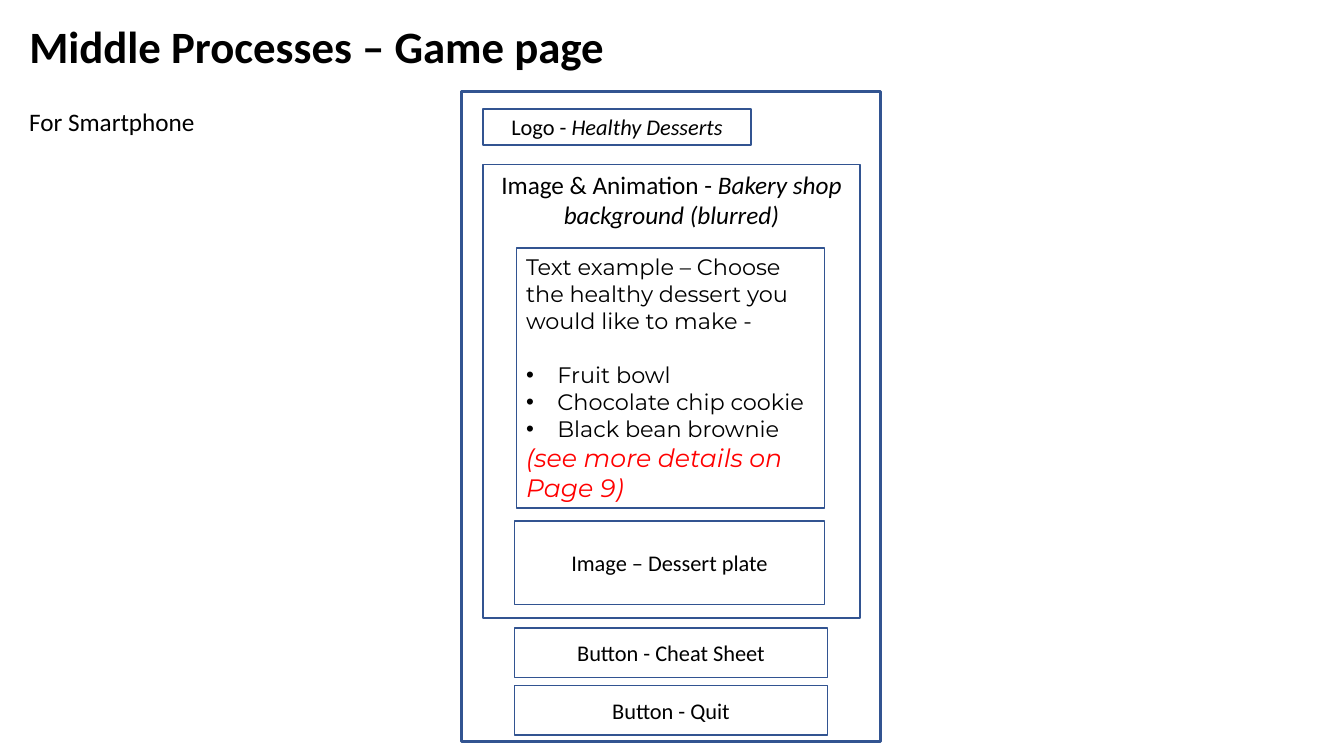
from pptx import Presentation
from pptx.dml.color import RGBColor
from pptx.enum.shapes import MSO_SHAPE
from pptx.enum.text import MSO_ANCHOR, MSO_AUTO_SIZE, PP_ALIGN
from pptx.oxml.ns import qn
from pptx.util import Inches, Pt
from lxml.etree import SubElement

BLACK = RGBColor(0x00, 0x00, 0x00)
RED = RGBColor(0xFF, 0x00, 0x00)
BLUE = RGBColor(0x32, 0x54, 0x91)

TITLE = "Middle Processes – Game page"
DEVICE = "For Smartphone"
PHONE = (4.58, 0.91, 4.15, 6.45)

# Place, size, anchor, upright label, italic label
FRAMES = [
    ((4.79, 1.08, 2.66, 0.36), 16, MSO_ANCHOR.MIDDLE, "Logo - ", "Healthy Desserts"),
    ((4.79, 1.63, 3.74, 4.5), 18, MSO_ANCHOR.TOP,
     "Image & Animation - ", "Bakery shop background (blurred)"),
    ((5.1, 6.23, 3.11, 0.49), 16, MSO_ANCHOR.MIDDLE, "Button - Cheat Sheet", ""),
    ((5.1, 6.8, 3.11, 0.49), 16, MSO_ANCHOR.MIDDLE, "Button - Quit", ""),
    ((5.1, 5.17, 3.08, 0.83), 16, MSO_ANCHOR.MIDDLE, "Image – Dessert plate", ""),
]

CHOICE_PLACE = (5.12, 2.46, 3.06, 2.58)
PROMPT = "Text example – Choose the healthy dessert you would like to make -"
DESSERTS = ["Fruit bowl", "Chocolate chip cookie", "Black bean brownie"]
REFERENCE = "(see more details on Page 9)"
BLANK_LINE = Pt(19.5)
BULLET_INDENT = Inches(0.31)


def set_font(paragraph, size, name="Calibri", color=BLACK):
    """Format a whole paragraph."""
    font = paragraph.font
    font.size, font.name = Pt(size), name
    font.color.rgb = color


def add_frame(page, place, weight=1):
    """Add an unfilled blue rectangle."""
    box = page.shapes.add_shape(MSO_SHAPE.RECTANGLE, *map(Inches, place))
    box.shadow.inherit = False
    box.fill.background()
    box.line.color.rgb = BLUE
    box.line.width = Pt(weight)
    return box


def add_label(box, size, anchor, upright, italic):
    """Write a centred label with an optional italic ending."""
    box.text_frame.vertical_anchor = anchor
    para = box.text_frame.paragraphs[0]
    para.alignment = PP_ALIGN.CENTER
    set_font(para, size)
    para.add_run().text = upright
    if italic:
        span = para.add_run()
        span.text = italic
        span.font.italic = True


def add_bullet(paragraph):
    """Give a paragraph a hanging round bullet."""
    properties = paragraph._p.get_or_add_pPr()
    properties.set("marL", str(BULLET_INDENT))
    properties.set("indent", str(-BULLET_INDENT))
    SubElement(properties, qn("a:buFont")).set("typeface", "Arial")
    SubElement(properties, qn("a:buChar")).set("char", "•")


def fill_choices(box):
    """Write the prompt, the dessert list and the page reference."""
    frame = box.text_frame
    frame.vertical_anchor = MSO_ANCHOR.MIDDLE
    frame.text = "\n".join([PROMPT, *DESSERTS, REFERENCE])
    prompt, *desserts, reference = frame.paragraphs
    for para in frame.paragraphs:
        para.alignment = PP_ALIGN.LEFT
    for para in [prompt, *desserts]:
        set_font(para, 16, "Montserrat")
    desserts[0].space_before = BLANK_LINE
    for para in desserts:
        add_bullet(para)
    set_font(reference, 18, "Montserrat", RED)
    reference.font.italic = True


def write_heading(box, place, text, size, bold=False):
    """Place a one-line heading, left aligned at the top."""
    box.left, box.top, box.width, box.height = map(Inches, place)
    frame = box.text_frame
    frame.text = text
    frame.word_wrap = False
    frame.auto_size = MSO_AUTO_SIZE.SHAPE_TO_FIT_TEXT
    frame.vertical_anchor = MSO_ANCHOR.TOP
    para = frame.paragraphs[0]
    para.alignment = PP_ALIGN.LEFT
    set_font(para, size)
    para.font.bold = bold


deck = Presentation()
deck.slide_width, deck.slide_height = Inches(13.33), Inches(7.5)
page = deck.slides.add_slide(deck.slide_layouts[5])

write_heading(page.shapes.title, (0.19, 0.14, 5.96, 0.64), TITLE, 32, bold=True)
device_box = page.shapes.add_textbox(0, 0, 0, 0)
write_heading(device_box, (0.19, 1.01, 1.86, 0.4), DEVICE, 18)

add_frame(page, PHONE, weight=2)
for place, *label in FRAMES:
    add_label(add_frame(page, place), *label)
fill_choices(add_frame(page, CHOICE_PLACE))

deck.save("out.pptx")
